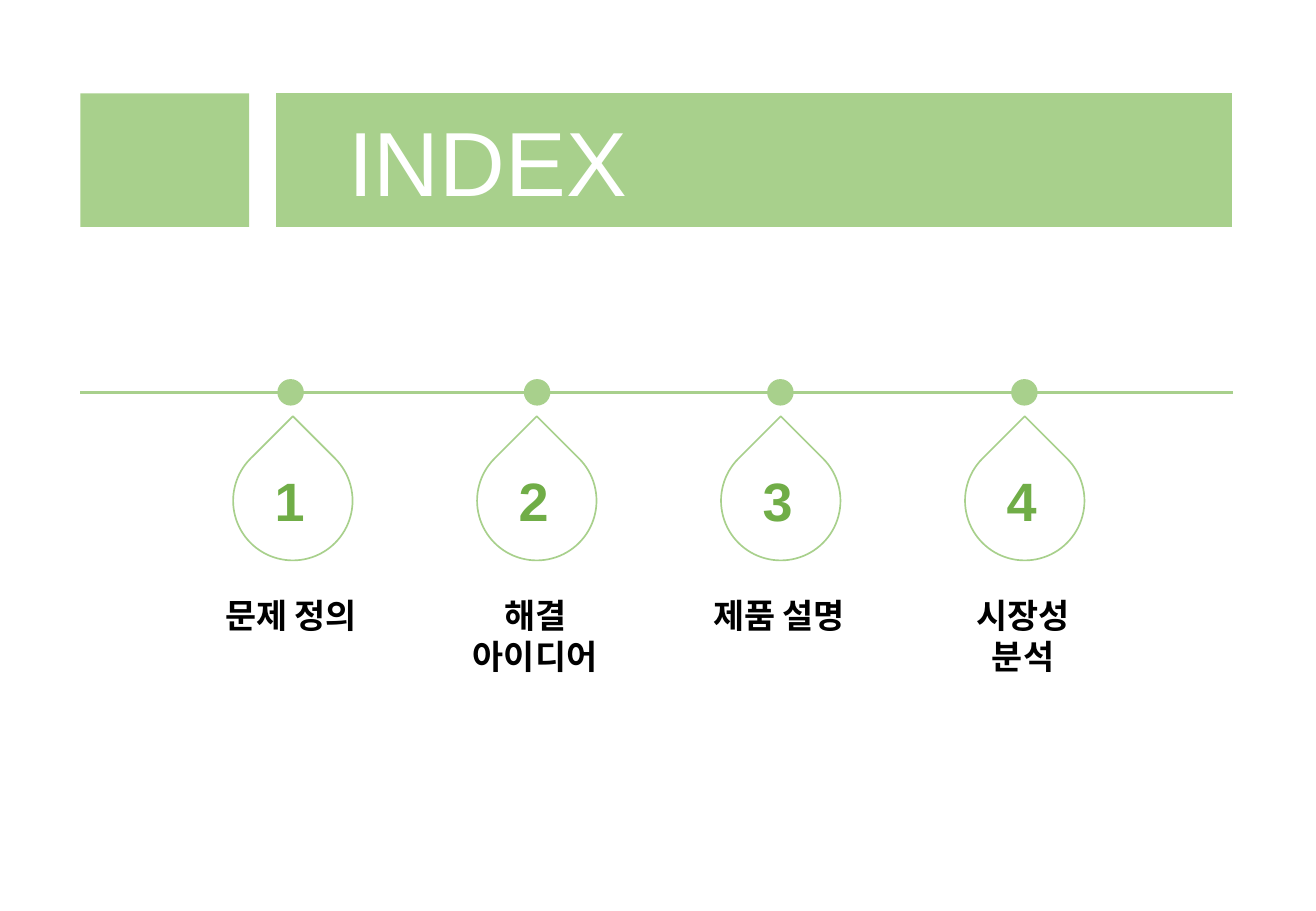
"""Build the INDEX slide: a title band over a four-step timeline."""
from pptx import Presentation
from pptx.dml.color import RGBColor
from pptx.enum.shapes import MSO_CONNECTOR, MSO_SHAPE
from pptx.enum.text import MSO_ANCHOR, PP_ALIGN
from pptx.oxml.ns import qn
from pptx.util import Pt
from lxml.etree import SubElement

LIGHT = RGBColor(0xA8, 0xD0, 0x8C)
GREEN = RGBColor(0x70, 0xAD, 0x47)
BLACK = RGBColor(0, 0, 0)
WHITE = RGBColor(255, 255, 255)

STEPS = [("문제 정의", 164.9), ("해결 아이디어", 311),
         ("제품 설명", 455.2), ("시장성 분석", 599.8)]
PITCH = 144.6

deck = Presentation()
deck.slide_width, deck.slide_height = Pt(780), Pt(540)
slide = deck.slides.add_slide(deck.slide_layouts[6])
shapes = slide.shapes


def add_form(kind, left, top, width, height, fill=True, line=True):
    form = shapes.add_shape(kind, Pt(left), Pt(top), Pt(width), Pt(height))
    form.shadow.inherit = False
    if fill:
        form.fill.solid()
        form.fill.fore_color.rgb = LIGHT
    else:
        form.fill.background()
    if line:
        form.line.color.rgb = LIGHT
        form.line.width = Pt(1)
    else:
        form.line.fill.background()
    return form


def add_words(frame, words, size, color, bold, align):
    frame.word_wrap = True
    para = frame.paragraphs[0]
    para.alignment = align
    run = para.add_run()
    run.text = words
    run.font.name = "Arial"
    run.font.size = Pt(size)
    run.font.bold = bold
    run.font.color.rgb = color
    return para


band = add_form(MSO_SHAPE.FLOWCHART_PROCESS, 163.6, 55.3, 566.9, 79.2, line=False)
band.text_frame.vertical_anchor = MSO_ANCHOR.MIDDLE
title = add_words(band.text_frame, "INDEX", 54, WHITE, False, PP_ALIGN.LEFT)
title.level = 1
props = title._p.get_or_add_pPr()
props.set("marL", str(Pt(36)))
props.set("indent", "0")
add_form(MSO_SHAPE.RECTANGLE, 47.7, 55.3, 100, 79.2, line=False)

axis = shapes.add_connector(MSO_CONNECTOR.STRAIGHT, Pt(47.7), Pt(232.6), Pt(730.6), Pt(232.6))
axis.line.color.rgb = LIGHT
axis.line.width = Pt(1.5)
SubElement(axis._element.spPr, qn("a:effectLst"))

for index, (label, dot) in enumerate(STEPS):
    shift = index * PITCH
    add_form(MSO_SHAPE.OVAL, dot, 225.2, 14.7, 14.7)
    drop = add_form(MSO_SHAPE.TEAR, 138.2 + shift, 261.4, 70.8, 70.8, fill=False)
    drop.rotation = 315
    number = shapes.add_textbox(Pt(155.7 + shift), Pt(273.6), Pt(34), Pt(46))
    add_words(number.text_frame, str(index + 1), 32, GREEN, True, PP_ALIGN.LEFT)
    name = shapes.add_textbox(Pt(119.7 + shift), Pt(349.2), Pt(105.8), Pt(55.7))
    add_words(name.text_frame, label, 20, BLACK, True, PP_ALIGN.CENTER)

deck.save("out.pptx")
